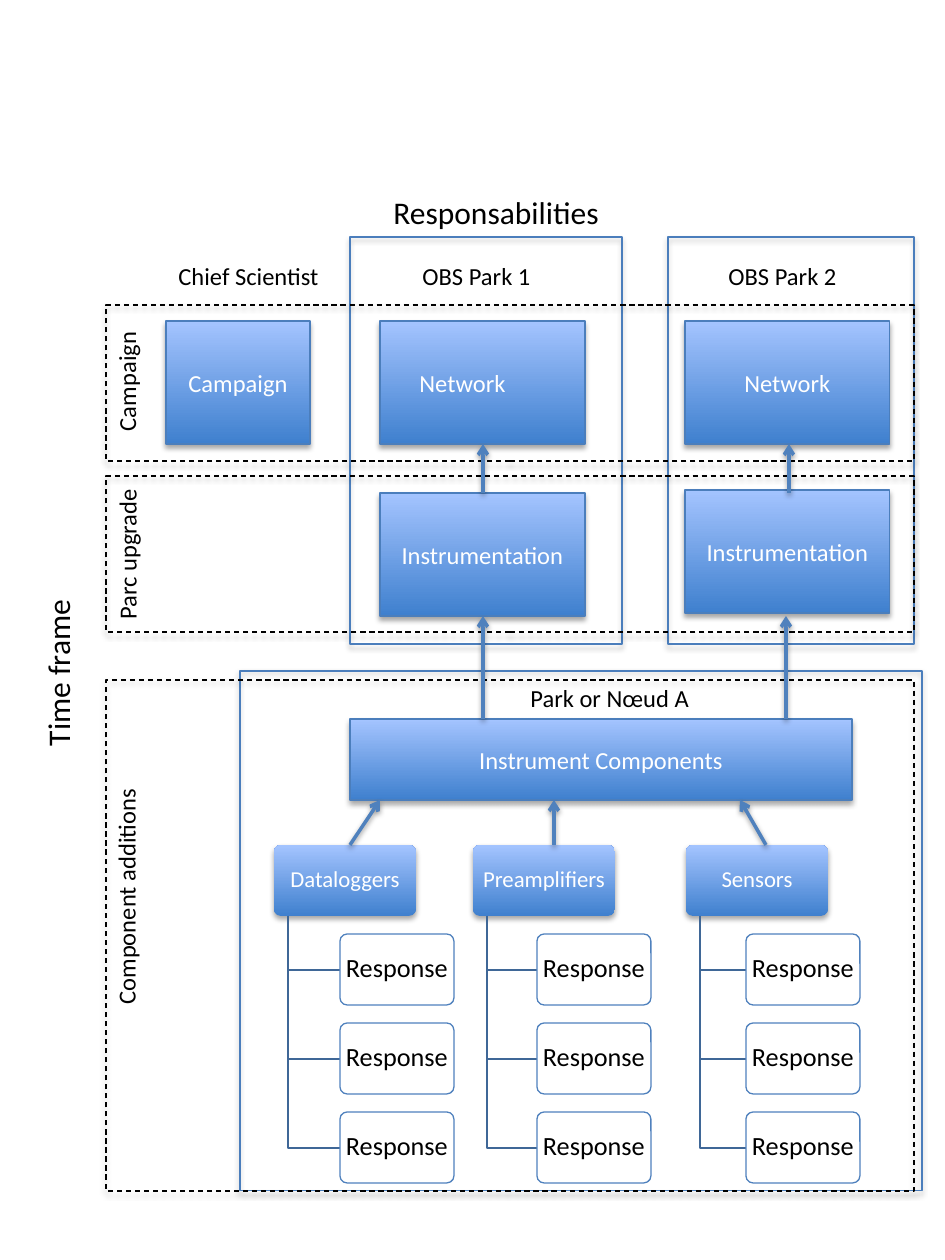
from lxml.etree import SubElement
from pptx import Presentation
from pptx.dml.color import RGBColor
from pptx.enum.dml import MSO_LINE
from pptx.enum.shapes import MSO_CONNECTOR, MSO_SHAPE
from pptx.enum.text import MSO_ANCHOR, MSO_AUTO_SIZE, PP_ALIGN
from pptx.oxml.ns import qn
from pptx.util import Emu, Pt

SCALE = 914400 // 126  # EMU per pixel
FONT = "Calibri"
BLACK, WHITE = "000000", "FFFFFF"
BLUE_LINE, RESPONSE_LINE, TREE_LINE = "4B7EBC", "4F81BD", "3F6797"
DARK_BLUE, LIGHT_BLUE = "3F80CE", "A4C4FF"


def px(value):
    return Emu(round(value * SCALE))


def colour(value):
    return RGBColor.from_string(value)


def set_line(line, value, width=0.75, dash=None):
    line.color.rgb = colour(value)
    line.width = Pt(width)
    if dash:
        line.dash_style = dash


def add_shadow(properties, alpha=35, distance=1.8):
    """Give a shape or connector a soft shadow below it."""
    effects = properties.find(qn("a:effectLst"))
    if effects is None:
        effects = SubElement(properties, qn("a:effectLst"))
    shadow = SubElement(effects, qn("a:outerShdw"), blurRad=str(Pt(3.1)),
                        dist=str(Pt(distance)), dir="5400000", rotWithShape="0")
    black = SubElement(shadow, qn("a:srgbClr"), val=BLACK)
    SubElement(black, qn("a:alpha"), val=str(alpha * 1000))


def write(shape, text, size=14, value=BLACK, align=PP_ALIGN.CENTER,
          anchor=MSO_ANCHOR.MIDDLE, wrap=True, inset=None, spacing=None):
    frame = shape.text_frame
    frame.word_wrap = wrap
    frame.vertical_anchor = anchor
    if inset is not None:
        frame.margin_left = frame.margin_right = px(inset)
        frame.margin_top = frame.margin_bottom = px(inset)
    paragraph = frame.paragraphs[0]
    paragraph.alignment = align
    if spacing:
        paragraph.line_spacing = spacing
    run = paragraph.add_run()
    run.text = text
    run.font.name = FONT
    run.font.size = Pt(size)
    run.font.color.rgb = colour(value)


def add_shape(slide, kind, left, top, width, height):
    shape = slide.shapes.add_shape(kind, px(left), px(top), px(width), px(height))
    shape.shadow.inherit = False
    if kind == MSO_SHAPE.ROUNDED_RECTANGLE:
        shape.adjustments[0] = 0.1
    return shape


def add_block(slide, text, left, top, width, height,
              kind=MSO_SHAPE.RECTANGLE, outlined=True, **text_format):
    """Blue gradient box with white text."""
    shape = add_shape(slide, kind, left, top, width, height)
    shape.fill.gradient()
    shape.fill.gradient_angle = 90
    for stop, value in zip(shape.fill.gradient_stops, (DARK_BLUE, LIGHT_BLUE)):
        stop.color.rgb = colour(value)
    if outlined:
        set_line(shape.line, BLUE_LINE)
    else:
        shape.line.fill.background()
    add_shadow(shape._element.spPr)
    write(shape, text, value=WHITE, **text_format)


def add_frame(slide, left, top, width, height, value=BLUE_LINE, dash=None):
    shape = add_shape(slide, MSO_SHAPE.RECTANGLE, left, top, width, height)
    shape.fill.background()
    set_line(shape.line, value, dash=dash)
    add_shadow(shape._element.spPr)


def add_label(slide, text, left, top, width, height=43, size=14, rotation=0):
    box = slide.shapes.add_textbox(px(left), px(top), px(width), px(height))
    box.rotation = rotation
    write(box, text, size=size, align=PP_ALIGN.LEFT, anchor=MSO_ANCHOR.TOP, wrap=False)
    box.text_frame.auto_size = MSO_AUTO_SIZE.SHAPE_TO_FIT_TEXT


def add_arrow(slide, start_x, start_y, end_x, end_y):
    connector = slide.shapes.add_connector(
        MSO_CONNECTOR.STRAIGHT, px(start_x), px(start_y), px(end_x), px(end_y))
    set_line(connector.line, RESPONSE_LINE, 2)
    SubElement(connector.line._get_or_add_ln(), qn("a:tailEnd"), type="arrow")
    add_shadow(connector._element.spPr, alpha=38, distance=1.6)


def add_elbow(slide, left, top, right, bottom):
    builder = slide.shapes.build_freeform(px(left), px(top))
    builder.add_line_segments(
        [(px(left), px(bottom)), (px(right), px(bottom))], close=False)
    shape = builder.convert_to_shape()
    shape.shadow.inherit = False
    shape.fill.background()
    set_line(shape.line, TREE_LINE)


def add_response(slide, left, top, width, height):
    shape = add_shape(slide, MSO_SHAPE.ROUNDED_RECTANGLE, left, top, width, height)
    shape.fill.solid()
    shape.fill.fore_color.rgb = colour(WHITE)
    white = shape._element.spPr.find(qn("a:solidFill"))[0]
    SubElement(white, qn("a:alpha"), val="90000")
    set_line(shape.line, RESPONSE_LINE)
    write(shape, "Response", size=15, wrap=False, inset=4, spacing=0.9)


def add_component_tree(slide, name, left, response_left):
    """Component header with three responses hanging from it."""
    top, height = 845, 71
    add_block(slide, name, left, top, 142, height, kind=MSO_SHAPE.ROUNDED_RECTANGLE,
              outlined=False, size=13, wrap=False, inset=4, spacing=0.9)
    for row in range(3):
        response_top = 934 + 89 * row
        add_elbow(slide, left + 14, top + height, response_left, response_top + 36)
        add_response(slide, response_left, response_top, 114, height)


def main():
    presentation = Presentation()
    presentation.slide_width, presentation.slide_height = px(945), px(1260)
    slide = presentation.slides.add_slide(presentation.slide_layouts[6])

    # Blocks of the campaign and instrumentation levels
    add_block(slide, "Campaign", 166, 321, 144, 123)
    for text, left, top in (("Network\t", 380, 321), ("Network", 685, 321),
                            ("Instrumentation", 380, 493), ("Instrumentation", 685, 490)):
        add_block(slide, text, left, top, 205, 123)
    add_block(slide, "Instrument Components", 350, 719, 502, 81)

    # Component trees
    for name, left, response_left in (("Dataloggers", 274, 340),
                                      ("Preamplifiers", 473, 537),
                                      ("Sensors", 686, 746)):
        add_component_tree(slide, name, left, response_left)
    add_frame(slide, 240, 671, 682, 520)

    # Column headings and rotated row headings
    add_label(slide, "Chief Scientist", 166, 255, 168)
    add_label(slide, "OBS Park 1", 410, 255, 135)
    add_label(slide, "OBS Park 2", 716, 255, 135)
    add_label(slide, "Responsabilities", 381, 187, 234, 51, size=18)
    add_label(slide, "Component additions", 5, 874, 243, rotation=270)
    add_label(slide, "Campaign", 64, 359, 126, rotation=270)
    add_label(slide, "Parc upgrade", 48, 531, 159, rotation=270)
    add_label(slide, "Time frame", -29, 646, 174, 51, size=18, rotation=270)

    # Park columns and dashed time bands
    for left, width in ((350, 272), (668, 246)):
        add_frame(slide, left, 237, width, 407)
    for top, height in ((305, 156), (476, 156), (680, 511)):
        add_frame(slide, 106, top, 808, height, value=BLACK, dash=MSO_LINE.DASH)
    add_label(slide, "Park or Nœud A", 518, 677, 186)

    # Arrows from each level up to the next
    for points in ((350, 845, 380, 800), (766, 845, 740, 800), (554, 845, 554, 800),
                   (483, 719, 483, 616), (786, 719, 786, 616),
                   (483, 493, 483, 444), (789, 493, 789, 444)):
        add_arrow(slide, *points)

    presentation.save("out.pptx")


main()
